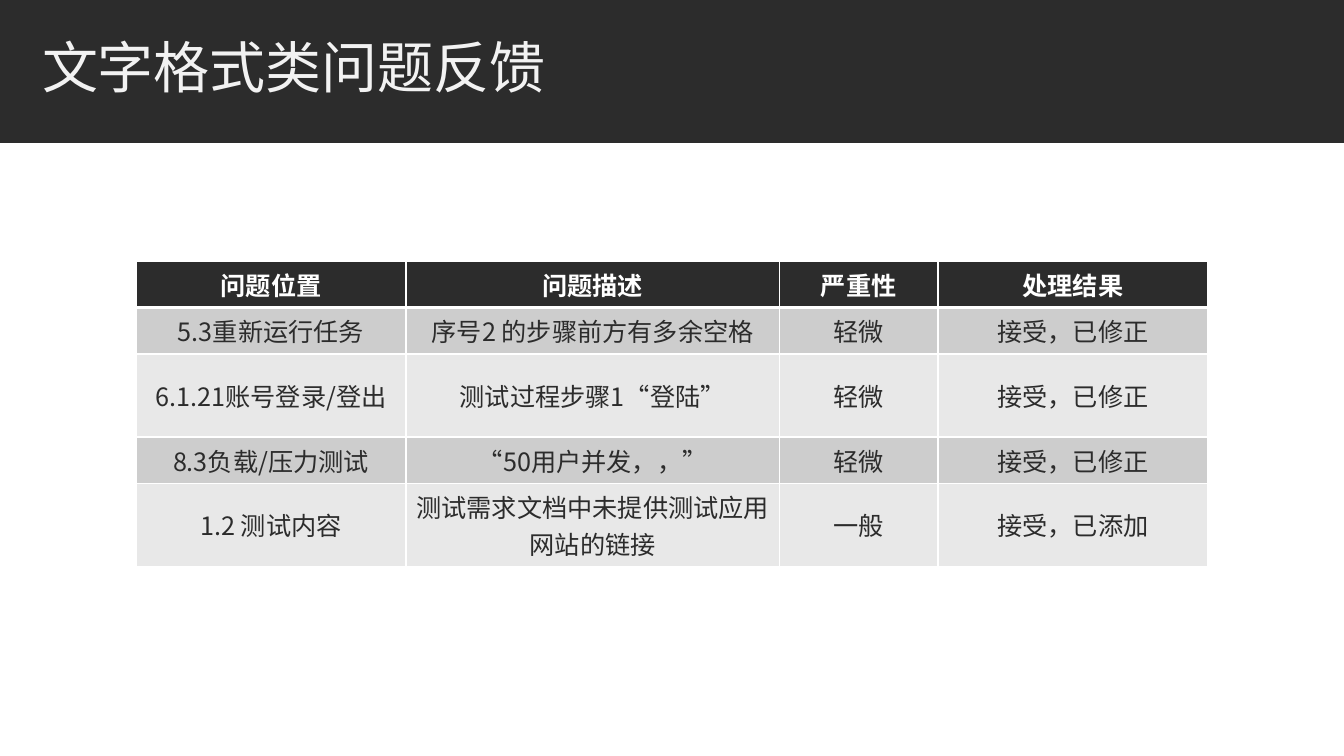
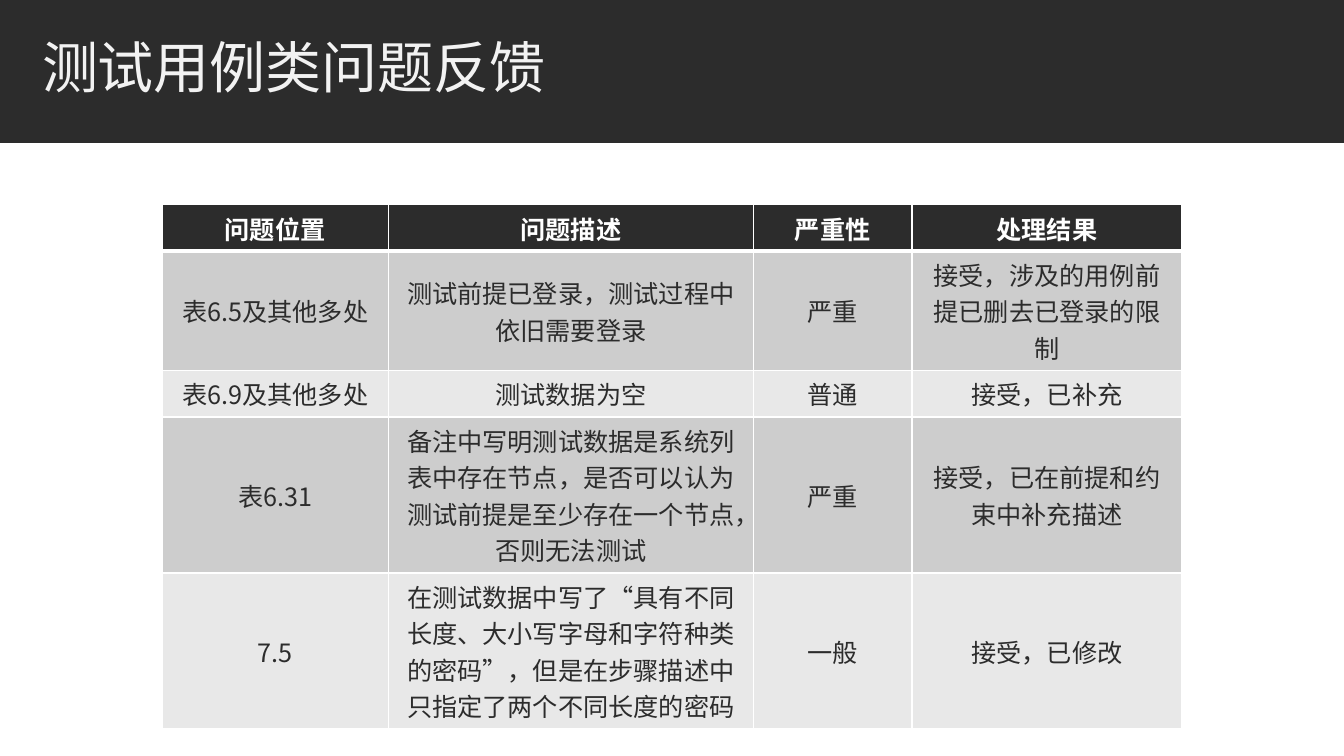
from dataclasses import dataclass

from lxml.etree import SubElement
from pptx import Presentation
from pptx.dml.color import RGBColor
from pptx.enum.lang import MSO_LANGUAGE_ID as Lang
from pptx.enum.shapes import MSO_SHAPE as Preset
from pptx.enum.text import MSO_ANCHOR as Anchor, PP_ALIGN as Align
from pptx.oxml import parse_xml
from pptx.oxml.ns import nsdecls, qn
from pptx.util import Cm, Pt

# Shared look
SLIDE_WIDTH, SLIDE_HEIGHT = 33.87, 19.05
BAND_HEIGHT = 3.6
LINE_HEIGHT, ROW_PADDING = 0.92, 0.25
DARK, WHITE, TITLE_COLOUR = "2C2C2C", "FFFFFF", "F2F2F2"
STRIPES = ("CDCDCD", "E8E8E8")
THIN, THICK = 1, 3
BASE_FONT = {"name": "Noto Sans CJK SC", "language_id": Lang.SIMPLIFIED_CHINESE}
TITLE_FONT = BASE_FONT | {"size": Pt(40), "bold": False}
HEADER_FONT = BASE_FONT | {"size": Pt(18), "bold": True}
BODY_FONT = HEADER_FONT | {"bold": False}


@dataclass(frozen=True)
class Issue:
    location: str
    description: str
    severity: str
    outcome: str
    lines: int = 1

    def texts(self) -> tuple[str, ...]:
        return self.location, self.description, self.severity, self.outcome

    def height(self) -> float:
        return ROW_PADDING + LINE_HEIGHT * self.lines


@dataclass(frozen=True)
class Feedback:
    title: str
    table_top: float
    column_widths: tuple[float, ...]
    issues: tuple[Issue, ...]


HEADINGS = Issue("问题位置", "问题描述", "严重性", "处理结果")
FEEDBACK = (
    Feedback("文字格式类问题反馈", 6.58, (6.8, 9.41, 4, 6.8), (
        Issue("5.3重新运行任务", "序号2 的步骤前方有多余空格", "轻微", "接受，已修正"),
        Issue("6.1.21账号登录/登出", "测试过程步骤1“登陆”", "轻微", "接受，已修正", 2),
        Issue("8.3负载/压力测试", "“50用户并发，，”", "轻微", "接受，已修正"),
        Issue("1.2 测试内容", "测试需求文档中未提供测试应用网站的链接",
              "一般", "接受，已添加", 2),
    )),
    Feedback("测试用例类问题反馈", 5.16, (5.7, 9.2, 4, 6.8), (
        Issue("表6.5及其他多处", "测试前提已登录，测试过程中依旧需要登录",
              "严重", "接受，涉及的用例前提已删去已登录的限制", 3),
        Issue("表6.9及其他多处", "测试数据为空", "普通", "接受，已补充"),
        Issue("表6.31", "备注中写明测试数据是系统列表中存在节点，"
              "是否可以认为测试前提是至少存在一个节点，否则无法测试",
              "严重", "接受，已在前提和约束中补充描述", 4),
        Issue("7.5", "在测试数据中写了“具有不同长度、大小写字母和字符种类的密码”，"
              "但是在步骤描述中只指定了两个不同长度的密码",
              "一般", "接受，已修改", 4),
    )),
)


def rgb(colour: str) -> RGBColor:
    return RGBColor.from_string(colour)


def fill_solid(target, colour: str) -> None:
    target.fill.solid()
    target.fill.fore_color.rgb = rgb(colour)


def write(paragraph, text: str, font_format: dict, colour: str) -> None:
    run = paragraph.add_run()
    run.text = text
    for attribute, value in font_format.items():
        setattr(run.font, attribute, value)
    run.font.color.rgb = rgb(colour)
    # East Asian typeface
    east_asian = SubElement(run.font._element, qn("a:ea"))
    east_asian.set("typeface", font_format["name"])


def set_borders(cell, top: int, bottom: int) -> None:
    properties = cell._tc.get_or_add_tcPr()
    widths = {"lnL": THIN, "lnR": THIN, "lnT": top, "lnB": bottom}
    for position, (side, width) in enumerate(widths.items()):
        properties.insert(position, parse_xml(
            f'<a:{side} {nsdecls("a")} w="{Pt(width)}"><a:solidFill>'
            f'<a:srgbClr val="{WHITE}"/></a:solidFill></a:{side}>'))


def add_title_band(slide, title: str) -> None:
    band = slide.shapes.add_shape(
        Preset.RECTANGLE, 0, 0, Cm(SLIDE_WIDTH), Cm(BAND_HEIGHT))
    band.shadow.inherit = False
    fill_solid(band, DARK)
    band.line.fill.background()

    heading = slide.shapes.add_textbox(Cm(0.81), Cm(0.66), Cm(27.18), Cm(2.29))
    frame = heading.text_frame
    frame.word_wrap = True
    frame.vertical_anchor = Anchor.MIDDLE
    paragraph = frame.paragraphs[0]
    paragraph.line_spacing = 0.85
    write(paragraph, title, TITLE_FONT, TITLE_COLOUR)


def add_issue_table(slide, feedback: Feedback) -> None:
    entries = (HEADINGS, *feedback.issues)
    width = sum(feedback.column_widths)
    height = sum(entry.height() for entry in entries)
    table = slide.shapes.add_table(
        len(entries), len(feedback.column_widths), Cm((SLIDE_WIDTH - width) / 2),
        Cm(feedback.table_top), Cm(width), Cm(height)).table
    table.horz_banding = False
    for column, column_width in zip(table.columns, feedback.column_widths):
        column.width = Cm(column_width)

    for row_index, entry in enumerate(entries):
        table.rows[row_index].height = Cm(entry.height())
        is_header = row_index == 0
        background = DARK if is_header else STRIPES[(row_index - 1) % 2]
        font_format, colour = (HEADER_FONT, WHITE) if is_header else (BODY_FONT, DARK)
        for column_index, text in enumerate(entry.texts()):
            cell = table.cell(row_index, column_index)
            cell.vertical_anchor = Anchor.MIDDLE
            fill_solid(cell, background)
            # Thick rule between header and body
            set_borders(cell, top=THICK if row_index == 1 else THIN,
                        bottom=THICK if is_header else THIN)
            paragraph = cell.text_frame.paragraphs[0]
            paragraph.alignment = Align.CENTER
            write(paragraph, text, font_format, colour)


def main() -> None:
    presentation = Presentation()
    presentation.slide_width = Cm(SLIDE_WIDTH)
    presentation.slide_height = Cm(SLIDE_HEIGHT)
    blank_layout = presentation.slide_layouts[6]
    for feedback in FEEDBACK:
        slide = presentation.slides.add_slide(blank_layout)
        add_title_band(slide, feedback.title)
        add_issue_table(slide, feedback)
    presentation.save("out.pptx")


if __name__ == "__main__":
    main()
